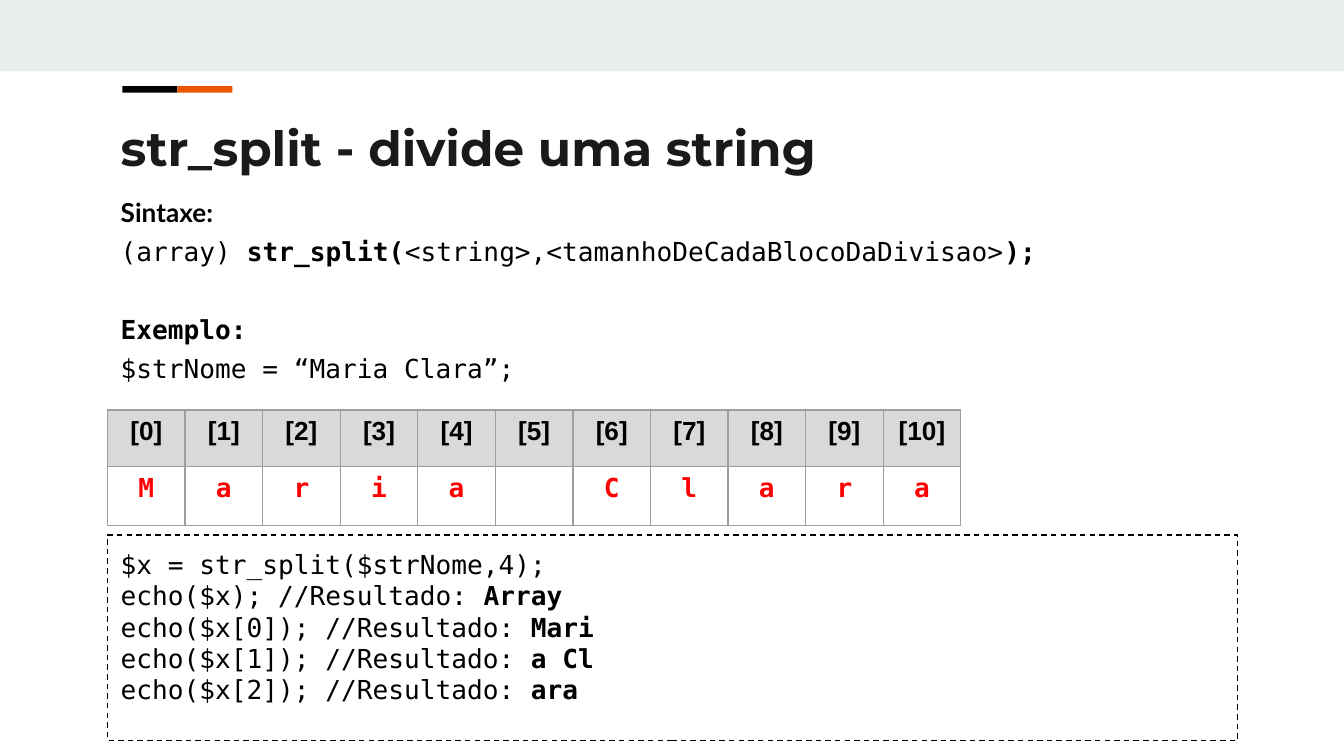
from lxml.etree import SubElement
from pptx import Presentation
from pptx.dml.color import RGBColor
from pptx.enum.dml import MSO_LINE
from pptx.enum.shapes import MSO_SHAPE
from pptx.enum.text import MSO_ANCHOR, PP_ALIGN
from pptx.oxml.ns import qn
from pptx.util import Inches, Pt

BLACK = RGBColor(0x00, 0x00, 0x00)
CHARCOAL = RGBColor(0x1A, 0x1A, 0x1A)
ORANGE = RGBColor(0xEB, 0x56, 0x00)
RED = RGBColor(0xFF, 0x00, 0x00)
PALE = RGBColor(0xE9, 0xED, 0xEE)
GREY = RGBColor(0xD9, 0xD9, 0xD9)
BORDER = RGBColor(0x9E, 0x9E, 0x9E)
MONO = "DejaVu Sans Mono"
HAIRLINE = Pt(0.74)

TITLE_FONT = dict(name="Montserrat", size=Pt(26), color=CHARCOAL)
LABEL_FONT = dict(name="Lato", size=Pt(14), color=BLACK)
CODE_FONT = dict(name=MONO, size=Pt(14), color=BLACK)
INDEX_FONT = dict(name="Arial", size=Pt(14), color=BLACK, bold=True)
LETTER_FONT = dict(name=MONO, size=Pt(14), color=RED, bold=True)

# Each paragraph: runs as (text, bold), font, space before and after in points
TITLE = [([("str_split - divide uma string", True)], TITLE_FONT, 0, 0)]
SYNTAX = [
    ([("Sintaxe:", True)], LABEL_FONT, 0, 0),
    ([("(array) ", False), ("str_split(", True),
      ("<string>,<tamanhoDeCadaBlocoDaDivisao>", False), (");", True)],
     CODE_FONT, 4, 0),
    ([("Exemplo:", True)], CODE_FONT, 25, 0),
    ([("$strNome = “Maria Clara”;", False)], CODE_FONT, 4, 4),
]
NAME = "Maria Clara"
RESULTS = [("$x", "Array"), ("$x[0]", "Mari"), ("$x[1]", "a Cl"), ("$x[2]", "ara")]
CODE = [([("$x = str_split($strNome,4);", False)], CODE_FONT, 0, 0)] + [
    ([(f"echo({value}); //Resultado: ", False), (result, True)], CODE_FONT, 0, 0)
    for value, result in RESULTS
]

WIDTH = 10
HEIGHT = WIDTH * 9 / 16
LEFT, CONTENT_WIDTH = 0.8, 8.41
TABLE_TOP, TABLE_WIDTH, ROW_HEIGHTS = 3.05, 6.35, (0.42, 0.44)
ACCENT_LEFT, ACCENT_TOP, ACCENT_WIDTH, ACCENT_HEIGHT = 0.91, 0.64, 0.41, 0.05


def set_font(font, formats):
    """Apply a dict of font values."""
    for key, value in formats.items():
        if key == "color":
            font.color.rgb = value
        else:
            setattr(font, key, value)


def add_box(slide, place, fill=None):
    """Add a rectangle without outline or shadow."""
    box = slide.shapes.add_shape(MSO_SHAPE.RECTANGLE, *map(Inches, place))
    box.shadow.inherit = False
    box.line.fill.background()
    if fill is None:
        box.fill.background()
    else:
        box.fill.solid()
        box.fill.fore_color.rgb = fill
    return box


def write(frame, paragraphs):
    """Fill a text frame with formatted paragraphs."""
    inset = Inches(0.1)
    layout = dict(word_wrap=True, vertical_anchor=MSO_ANCHOR.TOP, margin_left=inset,
                  margin_top=inset, margin_right=inset, margin_bottom=inset)
    for key, value in layout.items():
        setattr(frame, key, value)
    for number, (runs, formats, before, after) in enumerate(paragraphs):
        paragraph = frame.add_paragraph() if number else frame.paragraphs[0]
        paragraph.alignment = PP_ALIGN.LEFT
        paragraph.space_before, paragraph.space_after = Pt(before), Pt(after)
        for text, bold in runs:
            run = paragraph.add_run()
            run.text = text
            set_font(run.font, formats | {"bold": bold})


def add_borders(cell):
    """Draw a thin line on all four sides of a cell."""
    properties = cell._tc.get_or_add_tcPr()
    for position, side in enumerate(("lnL", "lnR", "lnT", "lnB")):
        line = SubElement(properties, qn(f"a:{side}"), w=str(HAIRLINE))
        fill = SubElement(line, qn("a:solidFill"))
        SubElement(fill, qn("a:srgbClr"), val=str(BORDER))
        properties.insert(position, line)


def add_letters(slide, name):
    """Add the table that sets each letter under its index."""
    rows = [([f"[{index}]" for index in range(len(name))], INDEX_FONT, GREY),
            ([letter.strip() for letter in name], LETTER_FONT, None)]
    place = (LEFT, TABLE_TOP, TABLE_WIDTH, sum(ROW_HEIGHTS))
    table = slide.shapes.add_table(len(rows), len(name), *map(Inches, place)).table
    for column in table.columns:
        column.width = Inches(TABLE_WIDTH / len(name))
    for row, (texts, formats, fill) in enumerate(rows):
        table.rows[row].height = Inches(ROW_HEIGHTS[row])
        for column, text in enumerate(texts):
            cell = table.cell(row, column)
            if fill is None:
                cell.fill.background()
            else:
                cell.fill.solid()
                cell.fill.fore_color.rgb = fill
            add_borders(cell)
            paragraph = cell.text_frame.paragraphs[0]
            paragraph.alignment = PP_ALIGN.CENTER
            if text:
                run = paragraph.add_run()
                run.text = text
                set_font(run.font, formats)


def build():
    """Build and save the slide."""
    deck = Presentation()
    deck.slide_width, deck.slide_height = Inches(WIDTH), Inches(HEIGHT)
    slide = deck.slides.add_slide(deck.slide_layouts[6])
    add_box(slide, (0, 0, WIDTH, 0.53), PALE)
    for step, color in enumerate((BLACK, ORANGE)):
        add_box(slide, (ACCENT_LEFT + step * ACCENT_WIDTH, ACCENT_TOP,
                        ACCENT_WIDTH, ACCENT_HEIGHT), color)
    for top, height, paragraphs in ((0.78, 0.59, TITLE), (1.36, 1.53, SYNTAX)):
        place = (LEFT, top, CONTENT_WIDTH, height)
        write(slide.shapes.add_textbox(*map(Inches, place)).text_frame, paragraphs)
    add_letters(slide, NAME)
    example = add_box(slide, (LEFT, 3.98, CONTENT_WIDTH, 1.53))
    example.line.color.rgb = BLACK
    example.line.width = HAIRLINE
    example.line.dash_style = MSO_LINE.DASH
    write(example.text_frame, CODE)
    deck.save("out.pptx")


build()
